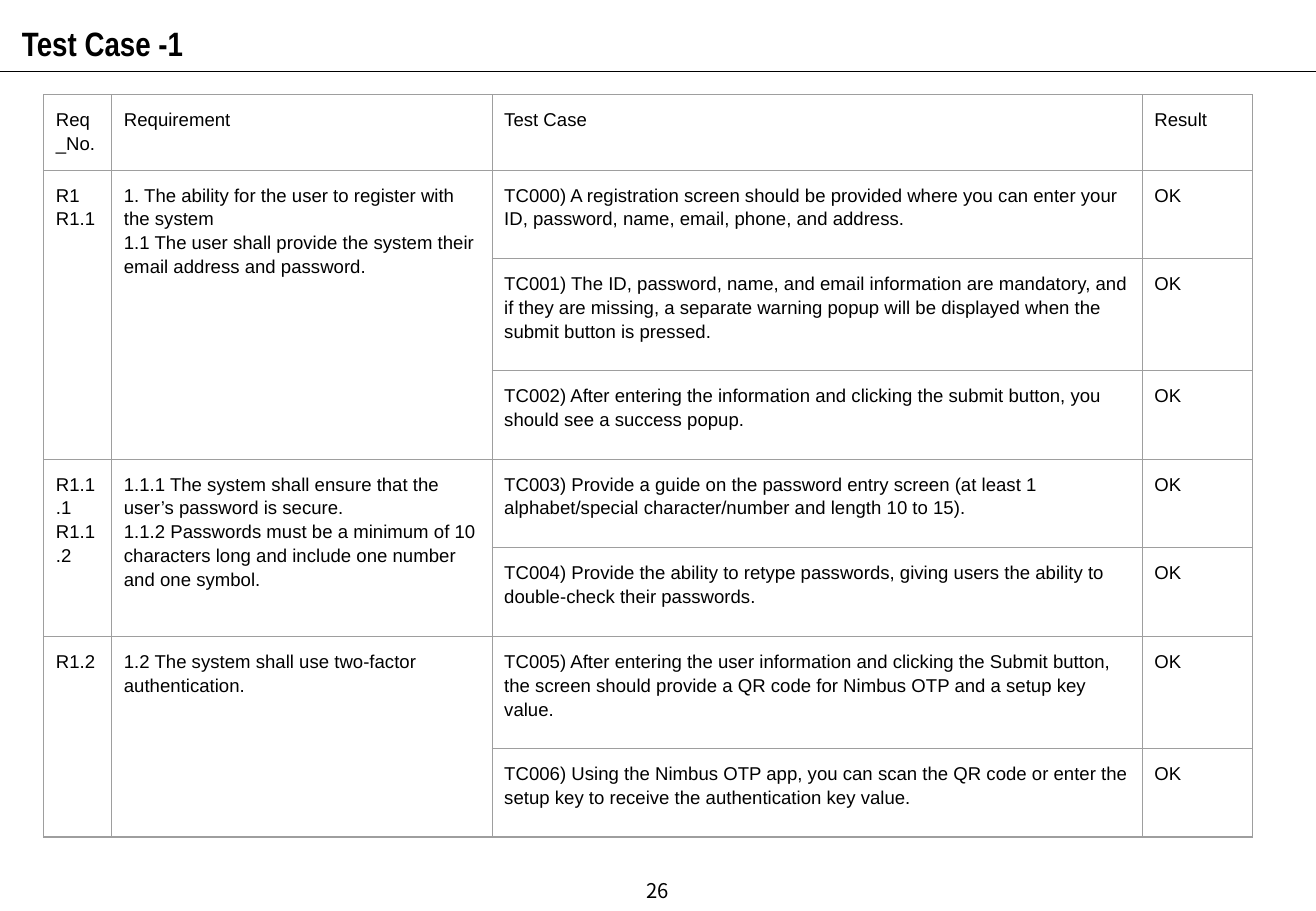
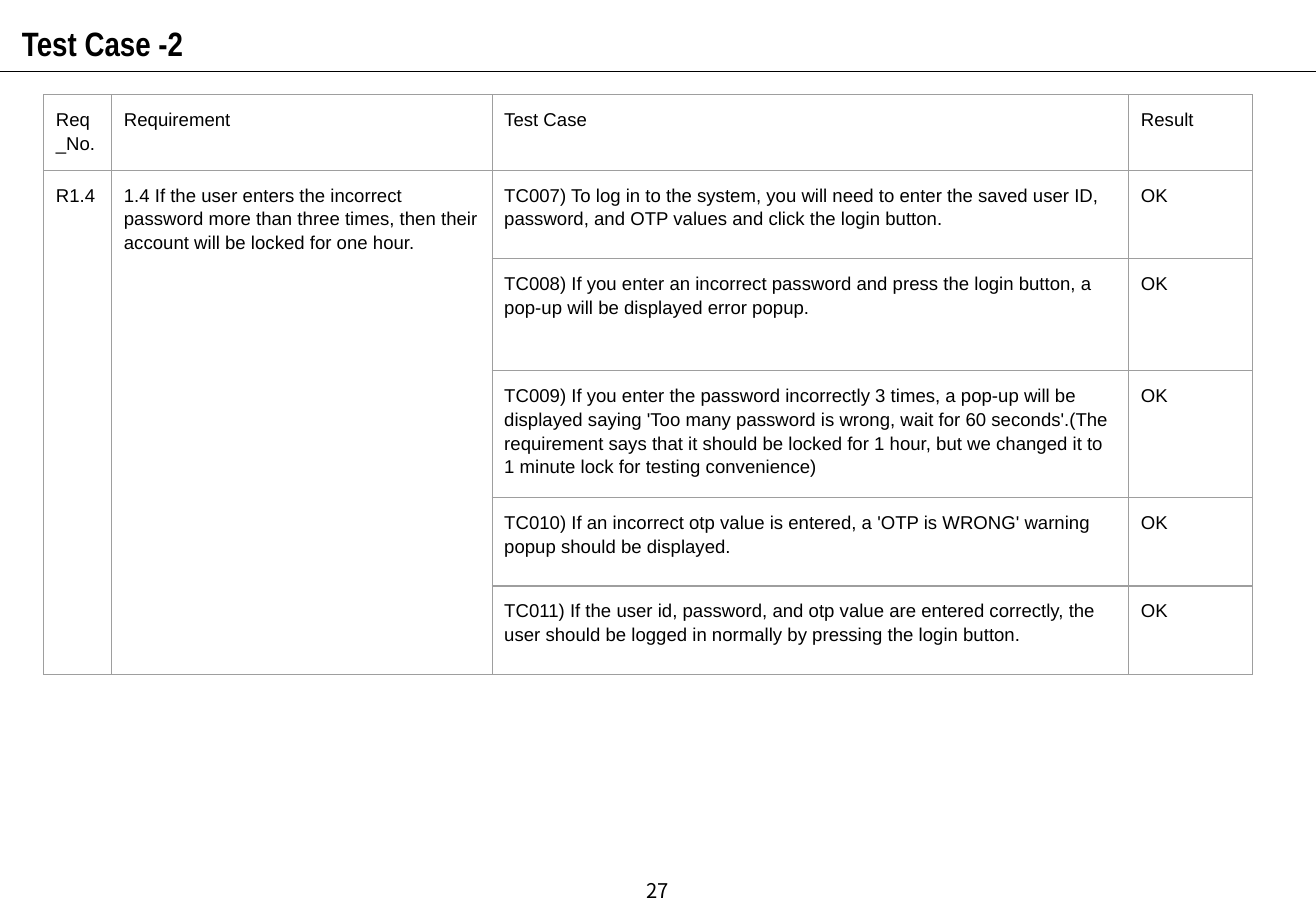
import dataclasses

import lxml.etree
import pptx
import pptx.dml.color
import pptx.enum.shapes
import pptx.enum.text
import pptx.oxml.ns
import pptx.util

Inches = pptx.util.Inches
Pt = pptx.util.Pt
RGBColor = pptx.dml.color.RGBColor
Align = pptx.enum.text.PP_ALIGN
Anchor = pptx.enum.text.MSO_ANCHOR
AutoSize = pptx.enum.text.MSO_AUTO_SIZE
qn = pptx.oxml.ns.qn

HEADER = ("Req_No.", "Requirement", "Test Case", "Result")
RESULT = "OK"
FIRST_PAGE = 26
NORMAL, TALL = 0.73, 0.92

SLIDES = [
    {
        "title": "Test Case -1",
        "columns": (0.56, 3.13, 5.35, 0.91),
        "groups": [
            (
                ["R1", "R1.1"],
                [
                    "1. The ability for the user to register with the system",
                    "1.1 The user shall provide the system their email address and password.",
                ],
                [
                    ("TC000) A registration screen should be provided where you can enter your ID, "
                     "password, name, email, phone, and address.", NORMAL),
                    ("TC001) The ID, password, name, and email information are mandatory, and if they "
                     "are missing, a separate warning popup will be displayed when the submit button "
                     "is pressed.", TALL),
                    ("TC002) After entering the information and clicking the submit button, you should "
                     "see a success popup.", NORMAL),
                ],
            ),
            (
                ["R1.1.1", "R1.1.2"],
                [
                    "1.1.1 The system shall ensure that the user’s password is secure.",
                    "1.1.2 Passwords must be a minimum of 10 characters long and include one number "
                    "and one symbol.",
                ],
                [
                    ("TC003) Provide a guide on the password entry screen (at least 1 alphabet/special "
                     "character/number and length 10 to 15).", NORMAL),
                    ("TC004) Provide the ability to retype passwords, giving users the ability to "
                     "double-check their passwords.", NORMAL),
                ],
            ),
            (
                ["R1.2"],
                ["1.2 The system shall use two-factor authentication."],
                [
                    ("TC005) After entering the user information and clicking the Submit button, the "
                     "screen should provide a QR code for Nimbus OTP and a setup key value.", TALL),
                    ("TC006) Using the Nimbus OTP app, you can scan the QR code or enter the setup key "
                     "to receive the authentication key value.", NORMAL),
                ],
            ),
        ],
    },
    {
        "title": "Test Case -2",
        "columns": (0.56, 3.13, 5.24, 1.02),
        "groups": [
            (
                ["R1.4"],
                ["1.4 If the user enters the incorrect password more than three times, then their "
                 "account will be locked for one hour."],
                [
                    ("TC007) To log in to the system, you will need to enter the saved user ID, "
                     "password, and OTP values and click the login button.", NORMAL),
                    ("TC008) If you enter an incorrect password and press the login button, a pop-up "
                     "will be displayed error popup.", TALL),
                    ("TC009) If you enter the password incorrectly 3 times, a pop-up will be displayed "
                     "saying 'Too many password is wrong, wait for 60 seconds'.(The requirement says "
                     "that it should be locked for 1 hour, but we changed it to 1 minute lock for "
                     "testing convenience)", NORMAL),
                    ("TC010) If an incorrect otp value is entered, a 'OTP is WRONG' warning popup "
                     "should be displayed.", NORMAL),
                    ("TC011) If the user id, password, and otp value are entered correctly, the user "
                     "should be logged in normally by pressing the login button.", NORMAL),
                ],
            ),
        ],
    },
]


@dataclasses.dataclass(frozen=True)
class Theme:
    ink: str = "000000"
    grid: str = "9E9E9E"
    line_width: float = 0.75
    title: tuple = ("Arial Narrow", 20, True, 1.2, Align.LEFT)
    cell: tuple = ("Arial", 11, False, 1.15, Align.LEFT)
    number: tuple = ("Noto Sans CJK KR", 12, False, 1.0, Align.CENTER)


THEME = Theme()
SLIDE_WIDTH, SLIDE_HEIGHT = Inches(10.83), Inches(7.5)
RULE_TOP = Inches(0.59)
TITLE_BOX = (0.08, 0.07, 7.81, 0.44)
NUMBER_BOX = (4.15, 7.13, 2.53, 0.4)
TABLE_LEFT, TABLE_TOP, HEADER_HEIGHT = 0.36, 0.78, 0.54
SIDES = ("left", "top", "right", "bottom")


def set_attributes(target, values):
    for name, value in values.items():
        setattr(target, name, value)


def write_lines(frame, lines, style):
    font_name, size, bold, spacing, alignment = style
    frame.text = "\n".join(lines)
    for paragraph in frame.paragraphs:
        set_attributes(paragraph, {"alignment": alignment, "line_spacing": spacing})
        for run in paragraph.runs:
            set_attributes(run.font, {"name": font_name, "size": Pt(size), "bold": bold})
            run.font.color.rgb = RGBColor.from_string(THEME.ink)


def place(shape, box):
    values = map(Inches, box)
    set_attributes(shape, dict(zip(("left", "top", "width", "height"), values)))


def add_frame(slide, title, page):
    rule = slide.shapes.add_connector(
        pptx.enum.shapes.MSO_CONNECTOR.STRAIGHT, 0, RULE_TOP, SLIDE_WIDTH, RULE_TOP)
    rule.line.color.rgb = RGBColor.from_string(THEME.ink)
    rule.line.width = Pt(THEME.line_width)
    lxml.etree.SubElement(rule.element.spPr, qn("a:effectLst"))

    title_shape = slide.shapes.title
    number_shape = slide.shapes.add_textbox(*map(Inches, NUMBER_BOX))
    place(title_shape, TITLE_BOX)
    for shape, text, style, anchor, auto_size in (
        (title_shape, title, THEME.title, Anchor.TOP, AutoSize.SHAPE_TO_FIT_TEXT),
        (number_shape, str(page), THEME.number, Anchor.MIDDLE, AutoSize.NONE),
    ):
        set_attributes(shape.text_frame, {
            "word_wrap": True, "vertical_anchor": anchor, "auto_size": auto_size})
        write_lines(shape.text_frame, [text], style)


def format_cell(cell):
    set_attributes(cell, {f"margin_{side}": Inches(0.1) for side in SIDES})
    cell.vertical_anchor = Anchor.TOP
    properties = cell._tc.get_or_add_tcPr()
    for edge in ("lnL", "lnR", "lnT", "lnB"):
        border = lxml.etree.SubElement(
            properties, qn(f"a:{edge}"), w=str(Pt(THEME.line_width)))
        fill = lxml.etree.SubElement(border, qn("a:solidFill"))
        lxml.etree.SubElement(fill, qn("a:srgbClr"), val=THEME.grid)
    cell.fill.background()


def add_case_table(slide, columns, groups):
    heights = [HEADER_HEIGHT] + [height for group in groups for _, height in group[2]]
    table = slide.shapes.add_table(
        len(heights), len(columns), Inches(TABLE_LEFT), Inches(TABLE_TOP),
        Inches(sum(columns)), Inches(sum(heights))).table
    set_attributes(table, {"first_row": False, "horz_banding": False})
    for column, width in zip(table.columns, columns):
        column.width = Inches(width)
    for row, height in zip(table.rows, heights):
        row.height = Inches(height)
    for cell in table.iter_cells():
        format_cell(cell)

    def fill_cell(row, column, lines):
        write_lines(table.cell(row, column).text_frame, lines, THEME.cell)

    for column, label in enumerate(HEADER):
        fill_cell(0, column, [label])
    first = 1
    for numbers, requirements, cases in groups:
        last = first + len(cases) - 1
        for column, lines in enumerate((numbers, requirements)):
            fill_cell(first, column, lines)
            table.cell(first, column).merge(table.cell(last, column))
        for row, (case, _) in enumerate(cases, first):
            fill_cell(row, 2, [case])
            fill_cell(row, 3, [RESULT])
        first = last + 1


def main():
    presentation = pptx.Presentation()
    set_attributes(presentation, {"slide_width": SLIDE_WIDTH, "slide_height": SLIDE_HEIGHT})
    title_only = presentation.slide_layouts.get_by_name("Title Only")
    for page, content in enumerate(SLIDES, FIRST_PAGE):
        slide = presentation.slides.add_slide(title_only)
        add_frame(slide, content["title"], page)
        add_case_table(slide, content["columns"], content["groups"])
    presentation.save("out.pptx")


if __name__ == "__main__":
    main()
